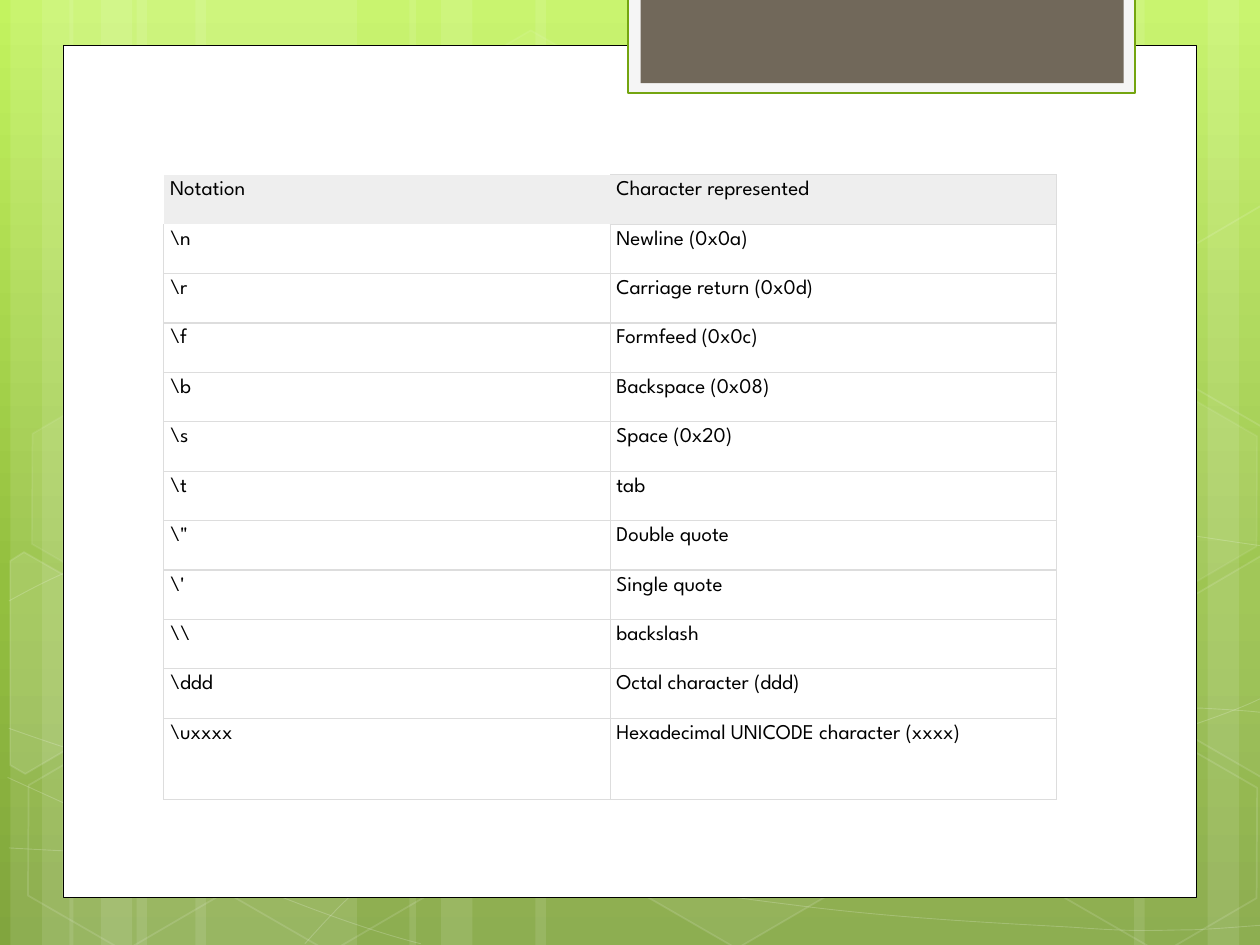
"""Build a slide with a table of character escape notations on a green backdrop."""
from copy import deepcopy
from math import cos, radians, sin
from typing import NamedTuple, Optional

from lxml import etree
from pptx import Presentation
from pptx.dml.color import RGBColor
from pptx.enum.shapes import MSO_SHAPE
from pptx.oxml.ns import qn
from pptx.util import Inches, Pt

RECTANGLE = MSO_SHAPE.RECTANGLE
HEXAGON = MSO_SHAPE.HEXAGON
COLUMNS, ROWS = 1000, 750
CELL = Inches(10) // COLUMNS
TWELFTH = 100 / 12
TILT = 30
WHITE, BLACK, BORDER, HEADER = "FFFFFF", "000000", "DDDDDD", "EEEEEE"
FONT = "League Spartan"


class Paint(NamedTuple):
    color: str
    opacity: int = 100
    width: float = 1


class Box(NamedTuple):
    left: float
    top: float
    width: float
    height: float
    fill: Optional[Paint] = None
    line: Optional[Paint] = None
    rotation: int = 0


class Hexagon(NamedTuple):
    left: float
    top: float
    fill_opacity: int
    line_opacity: int


class Curve(NamedTuple):
    segments: str
    points: list


class Edge(NamedTuple):
    center: tuple
    points: list
    fill_opacity: int


BAND_TRIO = [(13, 21), (1, 6), (4, 10)]
BANDS = [(left + shift, width, 0) for shift in (0, 5.6) for left, width in BAND_TRIO] + [
    (88, 21, 180), (115, 6, 180), (108, 10, 180), (51, 37, 0), (39, 6, 0), (42, 10, 0)]
CURVES = [
    Curve("CCCC", [
        (7, 673), (61, 676), (115, 679), (190, 678), (265, 677), (358, 675), (458, 665),
        (558, 655), (700, 636), (792, 617), (883, 598), (977, 568), (1007, 551)]),
    Curve("CCCC", [
        (7, 477), (36, 461), (65, 446), (121, 431), (178, 416), (259, 394), (347, 387),
        (436, 380), (544, 379), (654, 387), (764, 395), (947, 426), (1007, 434)]),
    Curve("C", [(6, 617), (127, 672), (247, 727), (334, 749)]),
    Curve("CCCCCC", [
        (7, 578), (38, 589), (70, 600), (128, 616), (186, 631), (273, 656), (357, 673),
        (440, 690), (545, 708), (628, 718), (711, 729), (800, 733), (853, 736),
        (905, 740), (919, 738), (945, 738), (971, 737), (989, 735), (1007, 734)]),
    Curve("CCCCCCCLC", [
        (242, 749), (260, 729), (278, 709), (302, 691), (326, 673), (360, 653),
        (388, 639), (416, 625), (433, 619), (470, 609), (506, 599), (573, 585),
        (608, 578), (644, 571), (649, 571), (680, 569), (711, 566), (760, 563),
        (794, 562), (829, 561), (886, 562), (886, 562), (953, 562),
        (971, 563), (988, 564), (997, 565)]),
]
CURVES[-1] = Curve("CCCCCCCLCC", CURVES[-1].points + [(1006, 566), (1003, 565), (1006, 566)])
HEXAGONS = [
    Hexagon(334, 36, 4, 8), Hexagon(497, 589, 6, 12), Hexagon(11, 591, 0, 12),
    Hexagon(14, 312, 7, 8), Hexagon(174, 592, 0, 12), Hexagon(753, 453, 10, 12),
    Hexagon(834, 593, 0, 12), Hexagon(834, 314, 7, 8)]
RIGHT_POINTS = [(926, 485), (1001, 441), (1009, 446), (1009, 613), (1002, 617), (926, 573)]
EDGES = [
    Edge((36, 535), [(8, 445), (19, 438), (96, 482), (95, 570), (20, 614), (8, 607)], 10),
    Edge((985, 520), RIGHT_POINTS, 4),
    Edge((985, 241), [(x, y - 278) for x, y in RIGHT_POINTS], 0)]
PANELS = [
    Box(50, 36, 900, 676.5, Paint(WHITE), Paint(BLACK, width=0.5)),
    Box(498.5, -2, 402.5, 76, Paint("F5F5F5"), Paint("74A510", width=1.25)),
    Box(508.4, -2, 383.4, 68, Paint("71685A"))]
NOTATIONS = [
    ("Notation", "Character represented"),
    (r"\n", "Newline (0x0a)"),
    (r"\r", "Carriage return (0x0d)"),
    (r"\f", "Formfeed (0x0c)"),
    (r"\b", "Backspace (0x08)"),
    (r"\s", "Space (0x20)"),
    (r"\t", "tab"),
    (r"\"", "Double quote"),
    (r"\'", "Single quote"),
    (r"\\", "backslash"),
    (r"\ddd", "Octal character (ddd)"),
    (r"\uxxxx", "Hexadecimal UNICODE character (xxxx)")]


def grid(value: float) -> int:
    return round(value * CELL)


def rgb(color: str) -> RGBColor:
    return RGBColor.from_string(color)


def paint_fill(fill, paint: Optional[Paint]) -> None:
    if paint is None:
        fill.background()
        return
    fill.solid()
    fill.fore_color.rgb = rgb(paint.color)


def paint_shape(shape, fill: Optional[Paint], line: Optional[Paint]) -> None:
    shape.shadow.inherit = False
    paint_fill(shape.fill, fill)
    paint_fill(shape.line.fill, line)
    if line:
        shape.line.width = Pt(line.width)
    properties = shape.element.spPr
    for paint, parent in ((fill, properties), (line, properties.find(qn("a:ln")))):
        if paint and paint.opacity < 100:
            color = parent.find(f"{qn('a:solidFill')}/{qn('a:srgbClr')}")
            etree.SubElement(color, qn("a:alpha"), val=str(paint.opacity * 1000))


def add_box(slide, box: Box, preset=RECTANGLE):
    shape = slide.shapes.add_shape(preset, *(grid(value) for value in box[:4]))
    shape.rotation = box.rotation
    paint_shape(shape, box.fill, box.line)
    return shape


def add_hexagon(slide, hexagon: Hexagon) -> None:
    fill = Paint(WHITE, hexagon.fill_opacity) if hexagon.fill_opacity else None
    line = Paint(WHITE, hexagon.line_opacity)
    box = Box(hexagon.left, hexagon.top, 175, 152, fill, line, TILT)
    shape = add_box(slide, box, HEXAGON)
    shape.adjustments[0] = 0.285
    shape.adjustments[1] = 1.155


def add_outline(slide, points: list, closed: bool):
    points = [(grid(x), grid(y)) for x, y in points]
    builder = slide.shapes.build_freeform(*points[0])
    builder.add_line_segments(points[1:], close=closed)
    return builder.convert_to_shape()


def add_edge(slide, edge: Edge) -> None:
    cosine, sine = cos(radians(TILT)), sin(radians(TILT))
    center_x, center_y = edge.center
    offsets = [(x - center_x, y - center_y) for x, y in edge.points]
    upright = [(center_x + x * cosine + y * sine, center_y - x * sine + y * cosine)
               for x, y in offsets]
    shape = add_outline(slide, upright, True)
    shape.rotation = TILT
    fill = Paint(WHITE, edge.fill_opacity) if edge.fill_opacity else None
    paint_shape(shape, fill, Paint(WHITE, 12))


def add_curve(slide, curve: Curve) -> None:
    shape = add_outline(slide, curve.points, False)
    lines = iter(shape.element.findall(f".//{qn('a:lnTo')}"))
    for segment in curve.segments:
        line = next(lines)
        if segment == "C":
            bezier = etree.Element(qn("a:cubicBezTo"))
            line.addprevious(bezier)
            for part in (line, next(lines), next(lines)):
                bezier.append(part[0])
                part.getparent().remove(part)
    paint_shape(shape, None, Paint(WHITE, 20, 0.5))


def set_background(slide) -> None:
    fill = slide.background.fill
    fill.gradient()
    fill.gradient_angle = 270
    stops = slide.element.find(f".//{qn('a:gsLst')}")
    stops.append(deepcopy(stops[-1]))
    colors = [(0, "C3F35F"), (0.62, "93BF3F"), (1, "81A53E")]
    for stop, (position, color) in zip(fill.gradient_stops, colors):
        stop.position = position
        stop.color.rgb = rgb(color)


def set_borders(cell, sides: str) -> None:
    properties = cell._tc.get_or_add_tcPr()
    for side in "LRTB":
        line = etree.SubElement(properties, qn(f"a:ln{side}"), w=str(Pt(0.75)))
        if side in sides:
            solid = etree.SubElement(line, qn("a:solidFill"))
            etree.SubElement(solid, qn("a:srgbClr"), val=BORDER)
        else:
            etree.SubElement(line, qn("a:noFill"))


def add_notation_table(slide) -> None:
    frame = slide.shapes.add_table(len(NOTATIONS), 2, *map(grid, (130, 138.7, 708.5, 496)))
    table = frame.table
    table.first_row = table.horz_banding = False
    special_borders = {(0, 0): "", (0, 1): "RTB", (1, 0): "LRB"}
    for row_index, texts in enumerate(NOTATIONS):
        is_last = row_index == len(NOTATIONS) - 1
        table.rows[row_index].height = grid(64.5 if is_last else 39.23)
        for column_index, text in enumerate(texts):
            cell = table.cell(row_index, column_index)
            set_borders(cell, special_borders.get((row_index, column_index), "LRTB"))
            paint_fill(cell.fill, None if row_index else Paint(HEADER))
            cell.margin_left = cell.margin_right = grid(5)
            cell.margin_top = cell.margin_bottom = grid(5)
            cell.text = text
            font = cell.text_frame.paragraphs[0].font
            font.name, font.size, font.color.rgb = FONT, Pt(12), rgb(BLACK)


def main() -> None:
    presentation = Presentation()
    presentation.slide_width, presentation.slide_height = grid(COLUMNS), grid(ROWS)
    slide = presentation.slides.add_slide(presentation.slide_layouts[6])
    set_background(slide)
    for left, width, rotation in BANDS:
        add_box(slide, Box(left * TWELFTH, 0, width * TWELFTH, ROWS,
                           Paint(WHITE, 10), rotation=rotation))
    for items, draw in ((CURVES, add_curve), (HEXAGONS, add_hexagon),
                        (EDGES, add_edge), (PANELS, add_box)):
        for item in items:
            draw(slide, item)
    add_notation_table(slide)
    presentation.save("out.pptx")


main()
